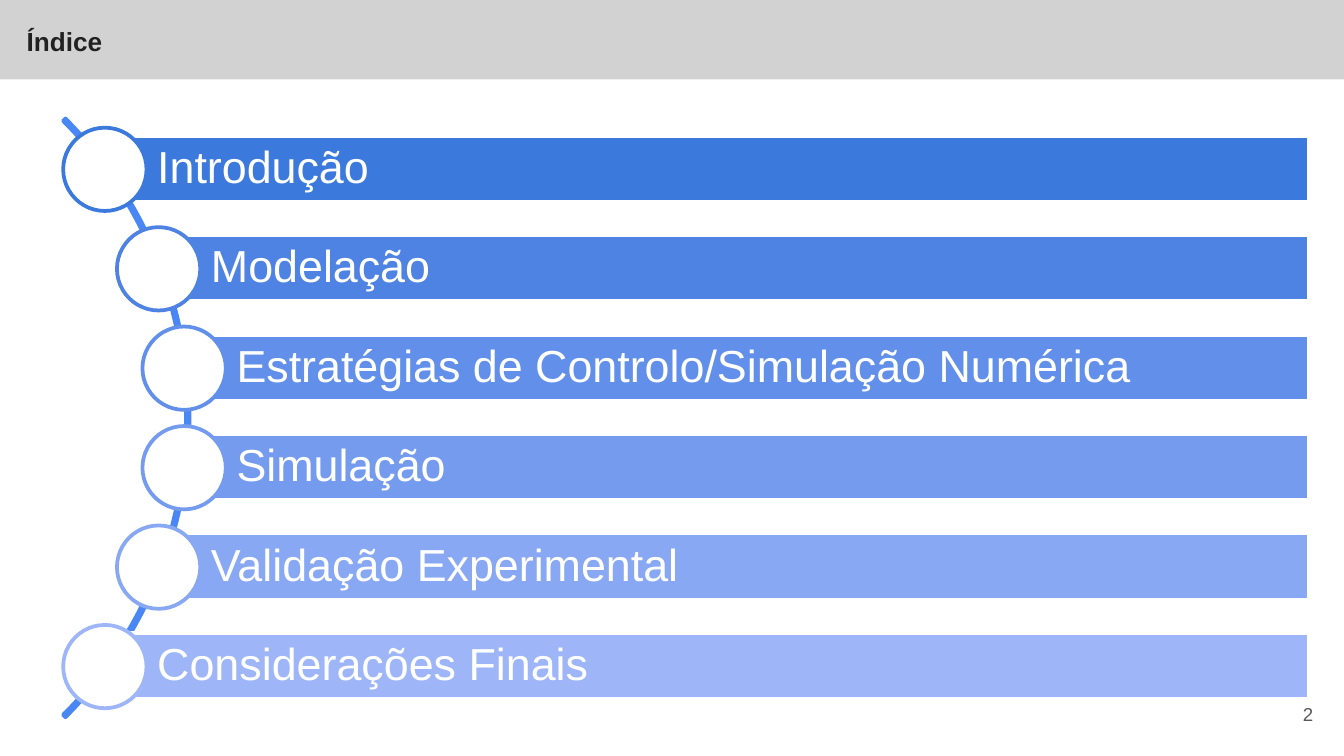
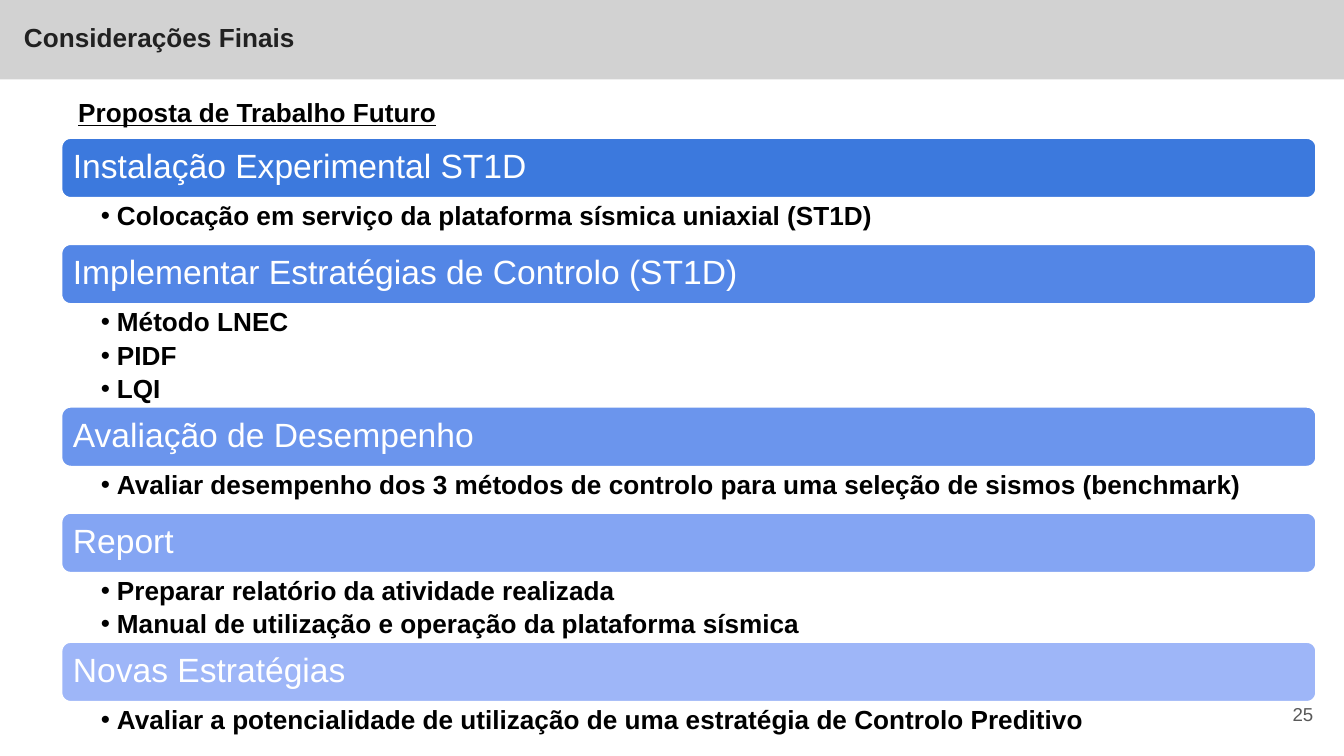
from dataclasses import dataclass

from lxml import etree
from pptx import Presentation
from pptx.dml.color import RGBColor
from pptx.enum.shapes import MSO_SHAPE
from pptx.enum.text import MSO_ANCHOR, MSO_AUTO_SIZE, PP_ALIGN
from pptx.oxml.ns import qn
from pptx.util import Emu, Pt

RECT, ROUND = MSO_SHAPE.RECTANGLE, MSO_SHAPE.ROUNDED_RECTANGLE
OVAL, ARC = MSO_SHAPE.OVAL, MSO_SHAPE.BLOCK_ARC
TOP, MID = MSO_ANCHOR.TOP, MSO_ANCHOR.MIDDLE
LEFT, CENTER, RIGHT = PP_ALIGN.LEFT, PP_ALIGN.CENTER, PP_ALIGN.RIGHT
GROW, FIXED = MSO_AUTO_SIZE.SHAPE_TO_FIT_TEXT, MSO_AUTO_SIZE.NONE

SCALE = 9144  # EMU per px, 100 px to the inch
WIDE = 1000


@dataclass(frozen=True)
class Theme:
    font: str = "Arial"
    white: str = "FFFFFF"
    black: str = "000000"
    title: str = "212121"
    number: str = "595959"
    band: str = "909090"
    arc: str = "4887F4"
    index: tuple = ("3C79DD", "4E83E4", "618FEA", "759BEF", "89A8F4", "9EB6F8")
    plan: tuple = ("3C79DD", "5386E6", "6B95ED", "84A5F3", "9EB6F8")
    entry: int = 24
    head: int = 18
    body: int = 14
    small: int = 10
    line: int = 2


THEME = Theme()

# Topic and left edge of its bar
INDEX = [
    ("Introdução", 78),
    ("Modelação", 118),
    ("Estratégias de Controlo/Simulação Numérica", 137),
    ("Simulação", 137),
    ("Validação Experimental", 118),
    ("Considerações Finais", 78),
]

# Heading, height of its list, bullets
PLAN = [
    ("Instalação Experimental ST1D", 33,
     ["Colocação em serviço da plataforma sísmica uniaxial (ST1D)"]),
    ("Implementar Estratégias de Controlo (ST1D)", 75,
     ["Método LNEC", "PIDF", "LQI"]),
    ("Avaliação de Desempenho", 33,
     ["Avaliar desempenho dos 3 métodos de controlo para uma seleção de "
      "sismos (benchmark)"]),
    ("Report", 50,
     ["Preparar relatório da atividade realizada",
      "Manual de utilização e operação da plataforma sísmica"]),
    ("Novas Estratégias", 33,
     ["Avaliar a potencialidade de utilização de uma estratégia de "
      "Controlo Preditivo"]),
]


def px(num):
    return Emu(num * SCALE)


def rgb(code):
    return RGBColor.from_string(code)


def shape(slide, kind, area, fill=None, line=None):
    item = slide.shapes.add_shape(kind, *map(px, area))
    item.shadow.inherit = False
    if fill:
        item.fill.solid()
        item.fill.fore_color.rgb = rgb(fill)
    else:
        item.fill.background()
    if line:
        item.line.color.rgb = rgb(line)
        item.line.width = Pt(THEME.line)
    else:
        item.line.fill.background()
    return item


def box(slide, area):
    return slide.shapes.add_textbox(*map(px, area))


def bullet(para):
    para.level = 1
    props = para._p.get_or_add_pPr()
    props.set("marL", str(px(12)))
    props.set("indent", str(px(-12)))
    tint = etree.SubElement(props, qn("a:buClr"))
    etree.SubElement(tint, qn("a:srgbClr")).set("val", THEME.black)
    etree.SubElement(props, qn("a:buFont")).set("typeface", THEME.font)
    etree.SubElement(props, qn("a:buChar")).set("char", "•")


def write(item, *lines, size=THEME.body, color=THEME.black, bold=False,
          under=False, align=LEFT, anchor=TOP, pad=(10, 10, 10, 10),
          space=None, after=None, dots=False, fit=FIXED):
    """Fill a shape with one paragraph per line; pad is left, top, right, bottom."""
    frame = item.text_frame
    frame.word_wrap = True
    frame.auto_size = fit
    frame.vertical_anchor = anchor
    (frame.margin_left, frame.margin_top,
     frame.margin_right, frame.margin_bottom) = map(px, pad)
    for num, line in enumerate(lines):
        para = frame.add_paragraph() if num else frame.paragraphs[0]
        if dots:
            bullet(para)
        para.alignment = align
        para.line_spacing = space
        if after:
            para.space_after = Pt(after)
        para.font.size = Pt(size)
        run = para.add_run()
        run.text = line
        font = run.font
        font.name, font.size = THEME.font, Pt(size)
        font.bold, font.underline = bold, under
        font.color.rgb = rgb(color)


def page(deck, title, area, number):
    """Add a slide with the grey band, title and page number."""
    slide = deck.slides.add_slide(deck.slide_layouts[6])
    band = shape(slide, RECT, (0, 0, WIDE, 59), THEME.band)
    tint = band.fill._xPr.find(".//" + qn("a:srgbClr"))
    etree.SubElement(tint, qn("a:alpha")).set("val", "40000")
    write(box(slide, area), title, color=THEME.title, bold=True, fit=GROW)
    write(box(slide, (927, 510, 60, 43)), number, size=THEME.small,
          color=THEME.number, align=RIGHT, anchor=MID)
    return slide


def bar(slide, kind, area, text, fill, size, inset):
    item = shape(slide, kind, area, fill, THEME.white)
    write(item, text, size=size, color=THEME.white, anchor=MID,
          pad=(inset, 7, 7, 7), space=0.9)


def index(slide):
    arc = shape(slide, ARC, (-489, -4, 630, 630), line=THEME.arc)
    for num, turn in enumerate((189, 27, 0.004)):
        arc.adjustments[num] = turn
    right, top, step, dot = 974, 101, 74, 62
    for num, ((text, left), tone) in enumerate(zip(INDEX, THEME.index)):
        y = top + num * step
        bar(slide, RECT, (left, y, right - left, 49), text, tone,
            THEME.entry, 39)
        shape(slide, OVAL, (left - dot // 2, y - 6, dot, dot),
              THEME.white, tone)


def plan(slide):
    write(box(slide, (0, 67, 383, 34)), "Proposta de Trabalho Futuro",
          bold=True, under=True, align=CENTER, pad=(10, 5, 10, 5), fit=GROW)
    left, y, width, high = 45, 102, 935, 46
    for (head, depth, lines), tone in zip(PLAN, THEME.plan):
        bar(slide, ROUND, (left, y, width, high), head, tone, THEME.head, 7)
        write(box(slide, (left, y + high, width, depth)), *lines, bold=True,
              pad=(30, 3, 14, 3), space=0.9, after=2.8, dots=True)
        y += high + depth


def main():
    deck = Presentation()
    deck.slide_width = px(WIDE)
    deck.slide_height = Emu(px(WIDE) * 9 // 16)
    index(page(deck, "Índice", (10, 9, 150, 44), "2"))
    plan(page(deck, "Considerações Finais", (8, 6, 428, 44), "25"))
    deck.save("out.pptx")


if __name__ == "__main__":
    main()
